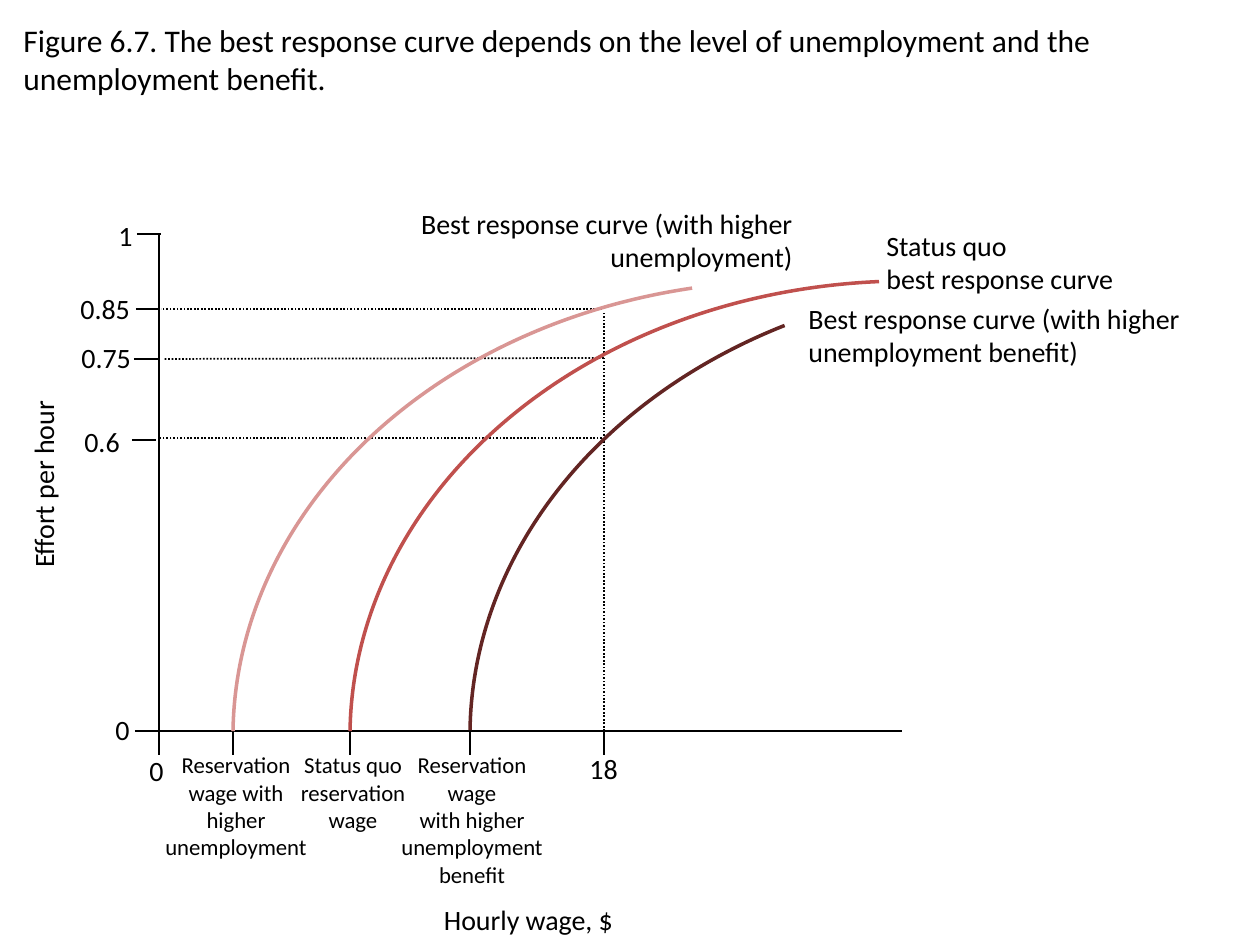
from typing import NamedTuple

import pptx
import pptx.dml.color
import pptx.enum.dml
import pptx.enum.shapes
import pptx.enum.text
import pptx.oxml
import pptx.util

PIXELS_PER_INCH = 126
BLACK = "000000"
LEFT = pptx.enum.text.PP_ALIGN.LEFT
CENTER = pptx.enum.text.PP_ALIGN.CENTER
RIGHT = pptx.enum.text.PP_ALIGN.RIGHT

ORIGIN_X, ORIGIN_Y = 159, 731
WAGE_X = 604
TICK_LENGTH = 24
CURVE_WIDTH, CURVE_HEIGHT = 1115, 911
CURVE_START = 108.33
LABEL_HEIGHT = 47


class Label(NamedTuple):
    """A text box; each line of its text is one paragraph."""
    text: str
    left: int
    top: int
    width: int
    height: int = LABEL_HEIGHT
    size: int = 16
    align: pptx.enum.text.PP_ALIGN = LEFT
    rotation: int = 0


class Line(NamedTuple):
    """A straight line between two points."""
    x1: int
    y1: int
    x2: int
    y2: int
    dotted: bool = False


class Curve(NamedTuple):
    """A best response curve, rising from its reservation wage."""
    left: int
    top: int
    end: float
    color: str


CURVES = [
    Curve(350, 281, 159.851, "C0504D"),
    Curve(470, 280, 143.615, "632523"),
    Curve(233, 281, 154.576, "D99694"),
]

AXES = [
    Line(ORIGIN_X, 234, ORIGIN_X, ORIGIN_Y),
    Line(ORIGIN_X, ORIGIN_Y, 902, ORIGIN_Y),
]
WAGE_TICKS = [
    Line(x, ORIGIN_Y, x, ORIGIN_Y + TICK_LENGTH)
    for x in [ORIGIN_X, WAGE_X] + [curve.left for curve in CURVES]
]
EFFORT_TICKS = [
    Line(x, y, x + TICK_LENGTH, y)
    for x, y in [(137, 234), (136, 309), (134, 359), (132, 440), (135, ORIGIN_Y)]
]
GUIDES = [
    Line(WAGE_X, ORIGIN_Y, WAGE_X, 312, True),
    Line(602, 309, 161, 309, True),
    Line(WAGE_X, 358, 164, 359, True),
    Line(602, 438, 160, 438, True),
]

LABELS = [
    Label("Figure 6.7. The best response curve depends on the level of "
          "unemployment and the unemployment benefit.", 11, 15, 1249, 89, 18),
    Label("Hourly wage, $", 155, 896, 747, align=CENTER),
    Label("Effort per hour", -204, 461, 495, align=CENTER, rotation=270),
    Label("1", 106, 212, 54),
    Label("0.85", 68, 285, 97),
    Label("0.75", 69, 334, 97),
    Label("0.6", 72, 418, 62),
    Label("0", 103, 706, 35),
    Label("0", 137, 747, 54),
    Label("18", 577, 745, 60),
    Label("Status quo\nbest response curve", 874, 222, 296, 81),
    Label("Best response curve (with higher unemployment benefit)",
          796, 295, 462, 81),
    Label("Best response curve (with higher unemployment)",
          402, 200, 403, 81, align=RIGHT),
    Label("Reservation\nwage with\nhigher unemployment",
          134, 745, 204, 123, 13, CENTER),
    Label("Status quo reservation\nwage", 251, 745, 204, 96, 13, CENTER),
    Label("Reservation\nwage\nwith higher unemployment\nbenefit",
          370, 745, 204, 150, 13, CENTER),
]


def px(pixels: int) -> pptx.util.Emu:
    """Turn pixels into EMU."""
    return pptx.util.Emu(round(pixels * 914400 / PIXELS_PER_INCH))


def rgb(color: str) -> pptx.dml.color.RGBColor:
    """Turn a hex string into a colour."""
    return pptx.dml.color.RGBColor.from_string(color)


def add_line(slide, line: Line) -> None:
    """Draw a solid or dotted black line without a shadow."""
    connector = slide.shapes.add_connector(
        pptx.enum.shapes.MSO_CONNECTOR.STRAIGHT,
        px(line.x1), px(line.y1), px(line.x2), px(line.y2))
    connector.line.color.rgb = rgb(BLACK)
    connector.line.width = pptx.util.Pt(1 if line.dotted else 1.5)
    if line.dotted:
        connector.line.dash_style = pptx.enum.dml.MSO_LINE.ROUND_DOT
    connector._element.spPr.append(pptx.oxml.parse_xml(
        '<a:effectLst xmlns:a='
        '"http://schemas.openxmlformats.org/drawingml/2006/main"/>'))


def add_curve(slide, curve: Curve) -> None:
    """Draw a best response curve as an arc."""
    shape = slide.shapes.add_shape(
        pptx.enum.shapes.MSO_SHAPE.ARC,
        px(curve.left), px(curve.top), px(CURVE_WIDTH), px(CURVE_HEIGHT))
    shape.adjustments[0] = CURVE_START
    shape.adjustments[1] = curve.end
    shape.shadow.inherit = False
    shape.fill.background()
    shape.line.color.rgb = rgb(curve.color)
    shape.line.width = pptx.util.Pt(2)


def add_label(slide, label: Label) -> None:
    """Write a label in a wrapping text box."""
    shape = slide.shapes.add_textbox(
        px(label.left), px(label.top), px(label.width), px(label.height))
    shape.rotation = label.rotation
    frame = shape.text_frame
    frame.word_wrap = True
    frame.text = label.text
    for paragraph in frame.paragraphs:
        paragraph.alignment = label.align
        paragraph.font.name = "Calibri"
        paragraph.font.size = pptx.util.Pt(label.size)
        paragraph.font.color.rgb = rgb(BLACK)


def main() -> None:
    """Build the slide and save it."""
    presentation = pptx.Presentation()
    presentation.slide_width = pptx.util.Inches(10)
    presentation.slide_height = pptx.util.Inches(7.5)
    slide = presentation.slides.add_slide(presentation.slide_layouts[6])
    for line in AXES + WAGE_TICKS + EFFORT_TICKS + GUIDES:
        add_line(slide, line)
    for curve in CURVES:
        add_curve(slide, curve)
    for label in LABELS:
        add_label(slide, label)
    presentation.save("out.pptx")


main()
